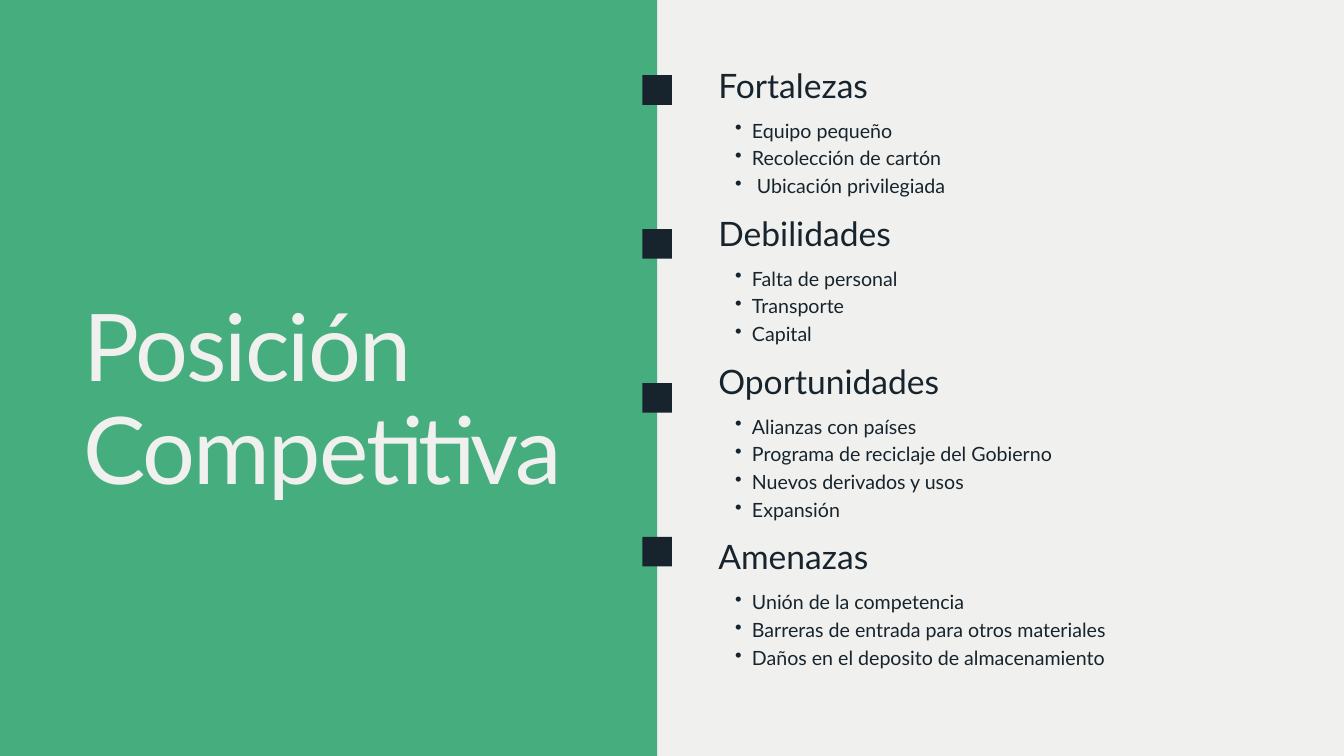
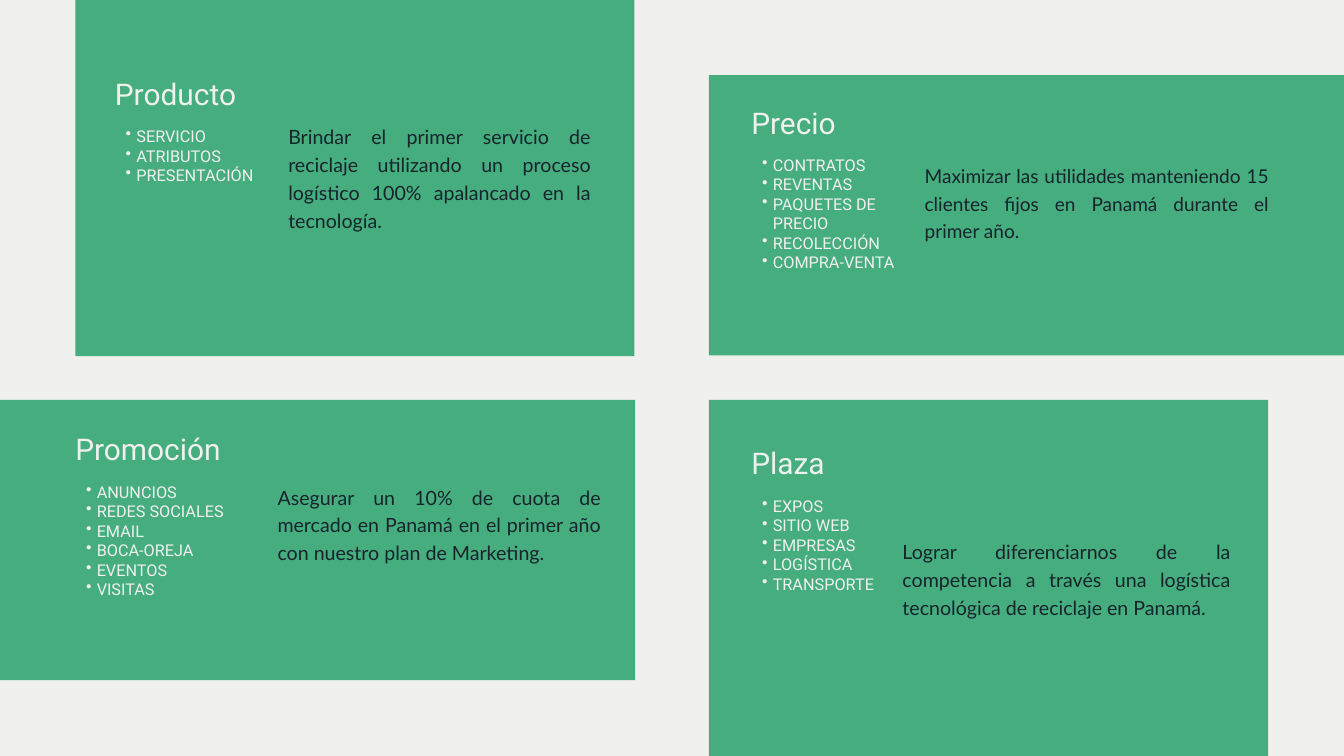
from lxml.etree import SubElement
from pptx import Presentation
from pptx.dml.color import RGBColor as Color
from pptx.enum.shapes import MSO_SHAPE as Preset
from pptx.enum.text import MSO_ANCHOR as Anchor, MSO_AUTO_SIZE as Fit, PP_ALIGN as Align
from pptx.oxml.ns import qn
from pptx.util import Inches, Pt

COLUMNS, ROWS = 20, 11.25  # one grid unit is one inch
TITLE_ONLY, BLANK = 5, 6
COLORS = {"paper": "F0F0EE", "green": "45AD7E", "ink": "17242D"}

# Each style: font values, paragraph values, colour, and bullet indent if any
STYLES = {
    "title": dict(font=dict(name="Lato", size=Pt(100), bold=False), color="paper",
                  para=dict(line_spacing=Pt(110), alignment=Align.LEFT), spacing=-200),
    "heading": dict(font=dict(name="Lato", size=Pt(36)), color="ink",
                    para=dict(line_spacing=Pt(45.4))),
    "list": dict(font=dict(name="Lato", size=Pt(21)), color="ink",
                 para=dict(line_spacing=Pt(29.8), level=1), indent=0.25),
    "card heading": dict(font=dict(name="Roboto", size=Pt(32)), color="paper",
                         para=dict(line_spacing=Pt(38.4))),
    "card list": dict(font=dict(name="Roboto", size=Pt(17.4)), color="paper",
                      para=dict(line_spacing=Pt(20.9), level=1), indent=0.16),
    "goal": dict(font=dict(name="Lato", size=Pt(21)), color="ink",
                 para=dict(line_spacing=Pt(29.8), alignment=Align.JUSTIFY)),
    "small goal": dict(font=dict(name="Lato", size=Pt(20.4)), color="ink",
                       para=dict(line_spacing=Pt(29.1), alignment=Align.JUSTIFY)),
}


def apply(target, values):
    for name, value in values.items():
        setattr(target, name, value)


class Deck:
    """Holds the presentation, its style and the current page."""

    def __init__(self):
        self.show = Presentation()
        self.show.slide_width, self.show.slide_height = self.grid(COLUMNS, ROWS)
        self.page = None

    def grid(self, *units):
        return [Inches(unit) for unit in units]

    def color(self, name):
        return Color.from_string(COLORS[name])

    def new_page(self, layout):
        self.page = self.show.slides.add_slide(self.show.slide_layouts[layout])
        fill = self.page.background.fill
        fill.solid()
        fill.fore_color.rgb = self.color("paper")

    def block(self, place, color):
        box = self.page.shapes.add_shape(Preset.RECTANGLE, *self.grid(*place))
        box.shadow.inherit = False
        box.fill.solid()
        box.fill.fore_color.rgb = self.color(color)
        box.line.fill.background()

    def title(self, place, text):
        box = self.page.shapes.title
        apply(box, dict(zip(("left", "top", "width", "height"), self.grid(*place))))
        self.page.shapes.element.append(box.element)  # bring in front of the panel
        self.set_lines(box, [text], "title")

    def text(self, place, lines, style, shapes=None):
        shapes = shapes or self.page.shapes
        self.set_lines(shapes.add_textbox(*self.grid(*place)), lines, style)

    def section(self, left, top, width, drop, heading, items, styles):
        """A heading with its bulleted list, grouped; drop is the step between them."""
        shapes = self.page.shapes.add_group_shape().shapes
        line = STYLES[styles[1]]["para"]["line_spacing"].inches
        self.text((left, top, width, drop - 0.15), [heading], styles[0], shapes)
        self.text((left, top + drop, width, line * len(items)), items, styles[1], shapes)

    def set_lines(self, box, lines, style):
        style = STYLES[style]
        frame = box.text_frame
        apply(frame, dict(word_wrap=True, auto_size=Fit.SHAPE_TO_FIT_TEXT,
                          vertical_anchor=Anchor.TOP, margin_left=0, margin_right=0,
                          margin_top=0, margin_bottom=0))
        for number, line in enumerate(lines):
            para = frame.add_paragraph() if number else frame.paragraphs[0]
            apply(para, style["para"])
            span = para.add_run()
            span.text = line
            apply(span.font, style["font"])
            span.font.color.rgb = self.color(style["color"])
            if "spacing" in style:
                span.font._element.set("spc", str(style["spacing"]))
            if "indent" in style:
                self.bullet(para, Inches(style["indent"]))

    def bullet(self, para, indent):
        props = para._p.get_or_add_pPr()
        props.set("marL", str(2 * indent))
        props.set("indent", str(-indent))
        SubElement(props, qn("a:buChar")).set("char", "•")


SWOT = {
    "Fortalezas": ["Equipo pequeño", "Recolección de cartón", " Ubicación privilegiada"],
    "Debilidades": ["Falta de personal", "Transporte", "Capital"],
    "Oportunidades": ["Alianzas con países", "Programa de reciclaje del Gobierno",
                      "Nuevos derivados y usos", "Expansión"],
    "Amenazas": ["Unión de la competencia", "Barreras de entrada para otros materiales",
                 "Daños en el deposito de almacenamiento"],
}

# Card: panel, heading corner, heading, items, goal place, goal, goal style
MARKETING = [
    ((1.12, 0, 8.32, 5.3), (1.71, 1.12), "Producto",
     ["SERVICIO", "ATRIBUTOS", "PRESENTACIÓN"],
     (4.29, 1.8, 4.5, 1.61),
     "Brindar el primer servicio de reciclaje utilizando un proceso logístico 100% "
     "apalancado en la tecnología.", "goal"),
    ((10.55, 1.12, 9.45, 4.17), (11.18, 1.55), "Precio",
     ["CONTRATOS", "REVENTAS", "PAQUETES DE PRECIO", "RECOLECCIÓN", "COMPRA-VENTA"],
     (13.76, 2.39, 5.12, 1.18),
     "Maximizar las utilidades manteniendo 15 clientes fijos en Panamá durante el "
     "primer año.", "small goal"),
    ((0, 5.95, 9.45, 4.17), (1.12, 6.41), "Promoción",
     ["ANUNCIOS", "REDES SOCIALES", "EMAIL", "BOCA-OREJA", "EVENTOS", "VISITAS"],
     (4.13, 7.16, 4.81, 1.21),
     "Asegurar un 10% de cuota de mercado en Panamá en el primer año con nuestro plan "
     "de Marketing.", "goal"),
    ((10.55, 5.95, 8.32, 5.3), (11.18, 6.62), "Plaza",
     ["EXPOS", "SITIO WEB", "EMPRESAS", "LOGÍSTICA", "TRANSPORTE"],
     (13.43, 7.97, 4.88, 1.21),
     "Lograr diferenciarnos de la competencia a través una logística tecnológica de "
     "reciclaje en Panamá.", "goal"),
]


def competitive_position(deck):
    deck.new_page(TITLE_ONLY)
    deck.block((0, 0, 9.78, ROWS), "green")
    deck.title((1.24, 4.43, 7.3, 3.08), "Posición Competitiva")

    # Evenly spaced markers; each section starts where the last list ends
    top, drop, gap = 0.93, 0.77, 0.19
    line = STYLES["list"]["para"]["line_spacing"].inches
    for number, (heading, items) in enumerate(SWOT.items()):
        deck.block((9.56, 1.12 + 2.29 * number, 0.44, 0.44), "ink")
        deck.section(10.69, top, 8.18, drop, heading, items, ("heading", "list"))
        top += drop + line * len(items) + gap


def marketing_mix(deck):
    deck.new_page(BLANK)
    for panel, corner, heading, items, place, goal, style in MARKETING:
        deck.block(panel, "green")
        deck.section(*corner, 2.25, 0.76, heading, items, ("card heading", "card list"))
        deck.text(place, [goal], style)


def main():
    deck = Deck()
    competitive_position(deck)
    marketing_mix(deck)
    deck.show.save("out.pptx")


if __name__ == "__main__":
    main()
